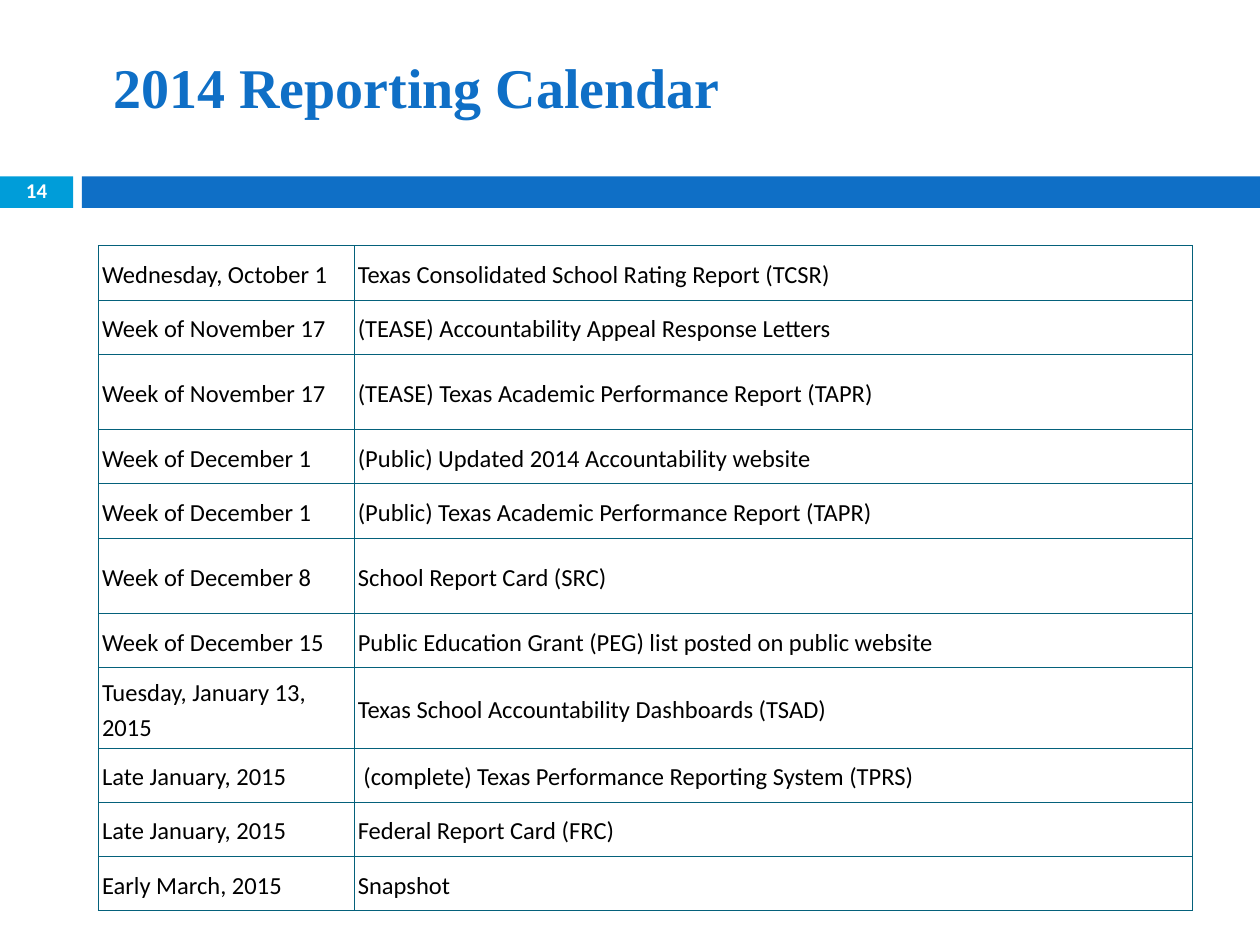
from dataclasses import dataclass

from lxml.etree import SubElement
from pptx import Presentation
from pptx.dml.color import RGBColor
from pptx.enum.shapes import MSO_SHAPE as Shape
from pptx.enum.text import MSO_ANCHOR as Anchor, PP_ALIGN as Align
from pptx.oxml.ns import qn
from pptx.util import Inches, Pt

# Content
TITLE = "2014 Reporting Calendar"
PAGE_NUMBER = "14"
CALENDAR = [
    ("Wednesday, October 1", "Texas Consolidated School Rating Report (TCSR)"),
    ("Week of November 17", "(TEASE) Accountability Appeal Response Letters"),
    ("Week of November 17", "(TEASE) Texas Academic Performance Report (TAPR)"),
    ("Week of December 1", "(Public) Updated 2014 Accountability website"),
    ("Week of December 1", "(Public) Texas Academic Performance Report (TAPR)"),
    ("Week of December 8", "School Report Card (SRC)"),
    ("Week of December 15", "Public Education Grant (PEG) list posted on public website"),
    ("Tuesday, January 13, 2015", "Texas School Accountability Dashboards (TSAD)"),
    ("Late January, 2015", " (complete) Texas Performance Reporting System (TPRS)"),
    ("Late January, 2015", "Federal Report Card (FRC)"),
    ("Early March, 2015", "Snapshot"),
]
TALL_ROWS = {2, 5, 7}


@dataclass(frozen=True)
class Theme:
    blue: str = "0F6FC6"
    cyan: str = "009DD9"
    border: str = "04617B"
    white: str = "FFFFFF"
    black: str = "000000"
    heading_font: str = "Times New Roman"
    body_font: str = "Calibri"
    title_size: float = 32
    body_size: float = 14
    number_size: float = 12
    border_width: float = 0.45


theme = Theme()

# Layout, in inches
WIDTH, HEIGHT = 10, 7.5
BAND_TOP, BAND_HEIGHT = 1.4, 0.25
NUMBER_WIDTH, BAND_LEFT = 0.58, 0.65
TABLE_LEFT, TABLE_TOP = 0.78, 1.95
COLUMNS = (2.03, 6.65)
ROW_HEIGHT, TALL_HEIGHT = 0.43, 0.6


def write(frame, text, color, size, font, bold=False, align=Align.LEFT, spacing=1.0):
    paragraph = frame.paragraphs[0]
    paragraph.alignment, paragraph.line_spacing = align, spacing
    run = paragraph.add_run()
    run.text = text
    for name, value in {"name": font, "size": Pt(size), "bold": bold}.items():
        setattr(run.font, name, value)
    run.font.color.rgb = RGBColor.from_string(color)


def add_text(slide, box, *style, **options):
    frame = slide.shapes.add_textbox(*map(Inches, box)).text_frame
    frame.word_wrap, frame.vertical_anchor = True, Anchor.MIDDLE
    write(frame, *style, **options)


def add_bar(slide, left, width, color):
    box = (left, BAND_TOP, width, BAND_HEIGHT)
    shape = slide.shapes.add_shape(Shape.RECTANGLE, *map(Inches, box))
    shape.shadow.inherit = False
    shape.fill.solid()
    shape.fill.fore_color.rgb = RGBColor.from_string(color)
    shape.line.fill.background()


def format_cell(cell, text):
    margins = {"margin_left": 0.03, "margin_right": 0.03,
               "margin_top": 0.05, "margin_bottom": 0.05}
    for name, value in margins.items():
        setattr(cell, name, Inches(value))
    cell.vertical_anchor = Anchor.MIDDLE
    write(cell.text_frame, text, theme.black, theme.body_size, theme.body_font, spacing=1.15)
    # Borders come before the fill in the cell properties
    properties = cell._tc.get_or_add_tcPr()
    for side in ("lnL", "lnR", "lnT", "lnB"):
        line = SubElement(properties, qn(f"a:{side}"), w=str(Pt(theme.border_width)))
        SubElement(SubElement(line, qn("a:solidFill")), qn("a:srgbClr"), val=theme.border)
    cell.fill.background()


def add_calendar(slide):
    heights = [TALL_HEIGHT if row in TALL_ROWS else ROW_HEIGHT
               for row in range(len(CALENDAR))]
    box = (TABLE_LEFT, TABLE_TOP, sum(COLUMNS), sum(heights))
    table = slide.shapes.add_table(len(CALENDAR), len(COLUMNS), *map(Inches, box)).table
    table.first_row = table.horz_banding = False
    for column, width in zip(table.columns, COLUMNS):
        column.width = Inches(width)
    for row, height, texts in zip(table.rows, heights, CALENDAR):
        row.height = Inches(height)
        for cell, text in zip(row.cells, texts):
            format_cell(cell, text)


def main():
    presentation = Presentation()
    presentation.slide_width, presentation.slide_height = Inches(WIDTH), Inches(HEIGHT)
    slide = presentation.slides.add_slide(presentation.slide_layouts[6])

    # Band with the page number
    add_bar(slide, 0, NUMBER_WIDTH, theme.cyan)
    add_bar(slide, BAND_LEFT, WIDTH - BAND_LEFT, theme.blue)
    add_text(slide, (0, 1.39, NUMBER_WIDTH, 0.27), PAGE_NUMBER, theme.white,
             theme.number_size, theme.body_font, bold=True, align=Align.CENTER, spacing=0.8)

    # Title and table
    add_text(slide, (0.8, 0.21, 8.51, 0.95), TITLE, theme.blue,
             theme.title_size, theme.heading_font, bold=True)
    add_calendar(slide)
    presentation.save("out.pptx")


if __name__ == "__main__":
    main()
